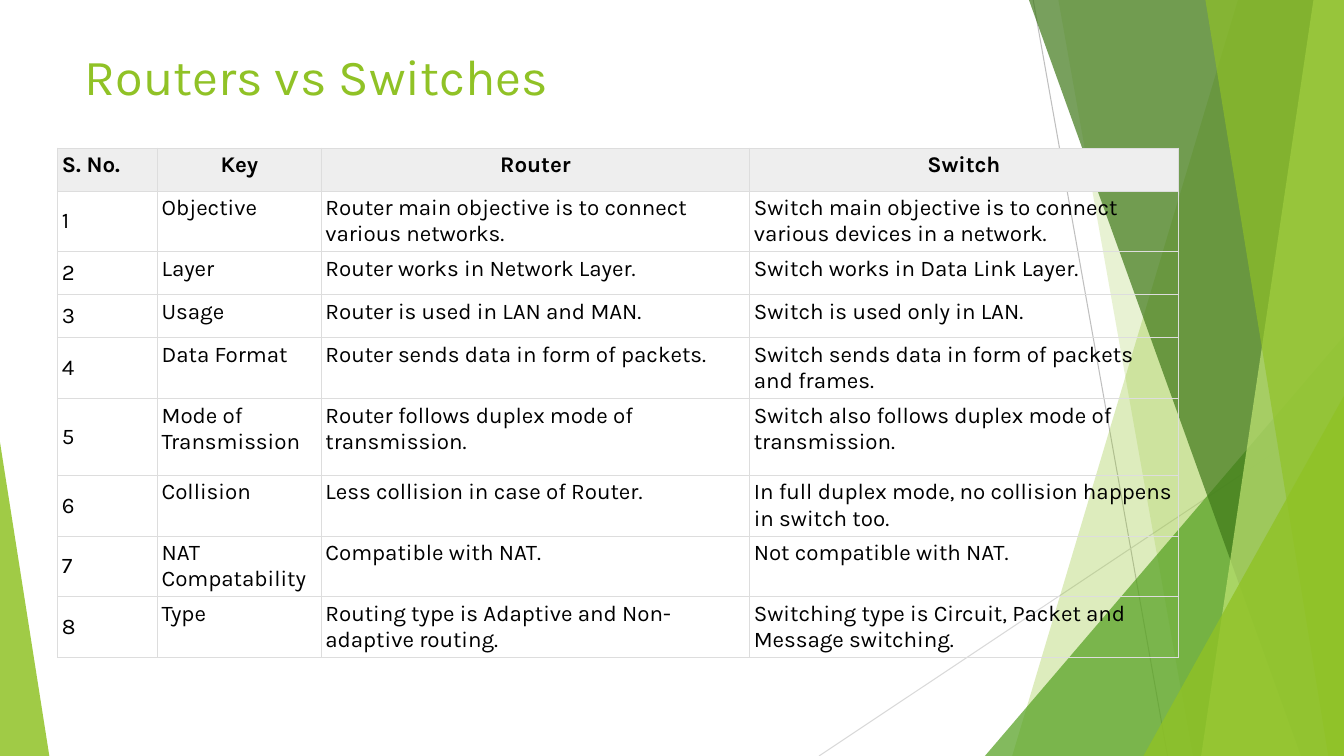
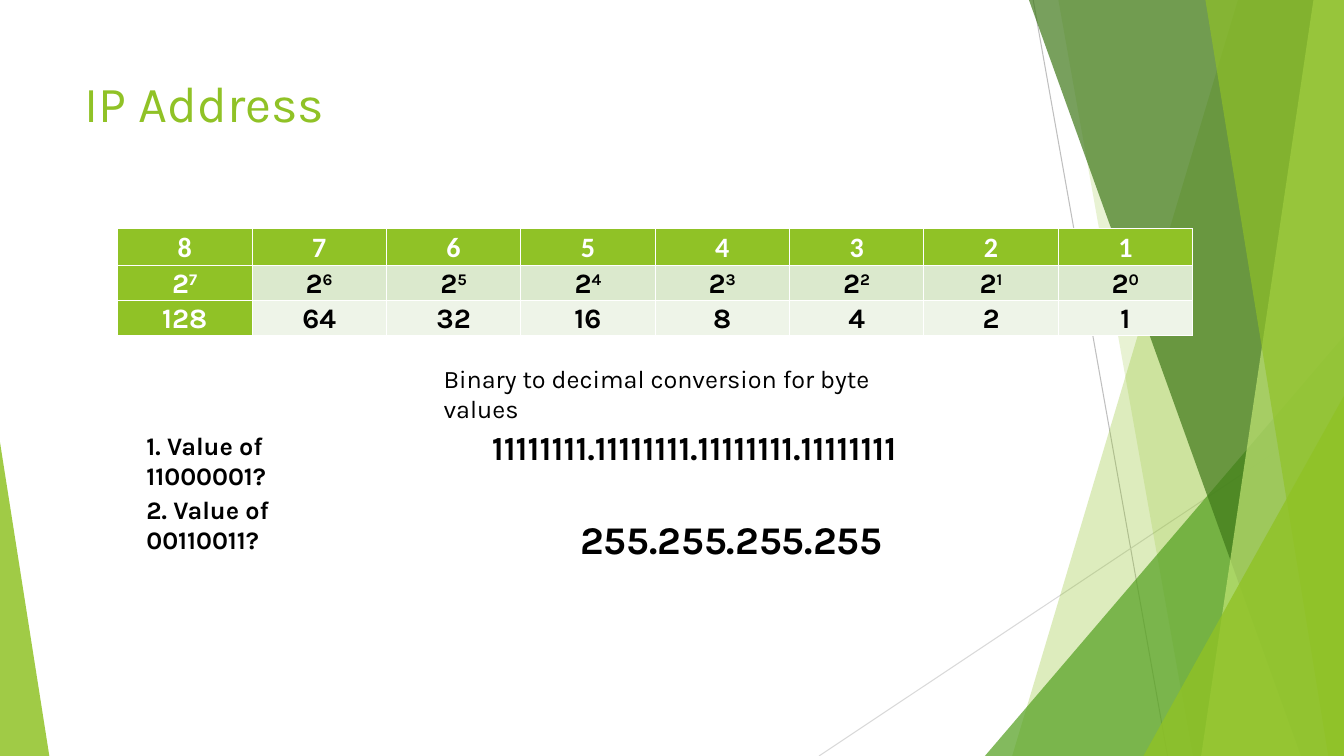
from dataclasses import dataclass

import lxml.etree
import pptx
import pptx.dml.color
import pptx.enum.shapes
import pptx.enum.text
import pptx.oxml.ns
import pptx.util

PX = 9525
WIDE, HIGH = 1280, 720
FONT = "Karla"
GREEN, BLACK, WHITE = "90C226", "000000", "FFFFFF"
GRID, HEAD = "DDDDDD", "EEEEEE"
ODD, EVEN = "DBE9CD", "EEF4E8"

ALIGN = pptx.enum.text.PP_ALIGN
ANCHOR = pptx.enum.text.MSO_ANCHOR
FIT = pptx.enum.text.MSO_AUTO_SIZE
qn = pptx.oxml.ns.qn


@dataclass
class Ray:
    start: tuple[int, int]
    end: tuple[int, int]
    color: str


@dataclass
class Band:
    """Four-sided strip reaching the right edge, from top to bottom."""
    top: int
    foot: int
    color: str
    alpha: int


@dataclass
class Wedge:
    box: tuple[int, int, int, int]
    peak: int
    color: str
    alpha: int


@dataclass
class Note:
    text: str
    box: tuple[int, int, int, int]
    size: int
    bold: bool = True


@dataclass
class Style:
    size: int = 16
    color: str = BLACK
    bold: bool = False
    font: str = FONT


RAYS = [
    Ray((984, 0), (1112, 720), "BFBFBF"),
    Ray((1280, 387), (780, 720), "D9D9D9"),
]
FACETS = [
    Band(1179, 964, GREEN, 30),
    Band(1008, 1136, GREEN, 20),
    Wedge((938, 320, 342, 400), 1, "54A021", 72),
    Band(980, 1239, "3F7819", 70),
    Band(1251, 1144, "C0E474", 70),
    Band(1148, 1265, GREEN, 65),
    Wedge((1089, 377, 191, 343), 1, GREEN, 80),
    Wedge((0, 421, 47, 299), 0, GREEN, 85),
]
DUEL = [
    ("S. No.", "Key", "Router", "Switch"),
    ("1", "Objective", "Router main objective is to connect various networks.",
     "Switch main objective is to connect various devices in a network."),
    ("2", "Layer", "Router works in Network Layer.",
     "Switch works in Data Link Layer."),
    ("3", "Usage", "Router is used in LAN and MAN.",
     "Switch is used only in LAN."),
    ("4", "Data Format", "Router sends data in form of packets.",
     "Switch sends data in form of packets and frames."),
    ("5", "Mode of Transmission", "Router follows duplex mode of transmission.",
     "Switch also follows duplex mode of transmission."),
    ("6", "Collision", "Less collision in case of Router.",
     "In full duplex mode, no collision happens in switch too."),
    ("7", "NAT Compatability", "Compatible with NAT.",
     "Not compatible with NAT."),
    ("8", "Type", "Routing type is Adaptive and Non-adaptive routing.",
     "Switching type is Circuit, Packet and Message switching."),
]
NOTES = [
    Note("Binary to decimal conversion for byte values",
         (413, 341, 454, 38), 18, False),
    Note("1. Value of 11000001?", (130, 405, 239, 38), 18),
    Note("2. Value of 00110011?", (130, 466, 241, 38), 18),
    Note("11111111.11111111.11111111.11111111", (459, 402, 588, 48), 24),
    Note("255.255.255.255", (543, 486, 313, 55), 28),
]


def px(*nums: int) -> list[int]:
    return [num * PX for num in nums]


def tint(text: str) -> pptx.dml.color.RGBColor:
    return pptx.dml.color.RGBColor.from_string(text)


def paint(fill, color: str) -> None:
    fill.solid()
    fill.fore_color.rgb = tint(color)


def write(para, text: str, style: Style) -> None:
    """Add one formatted run."""
    run = para.add_run()
    run.text = text
    run.font.name = style.font
    run.font.size = pptx.util.Pt(style.size)
    run.font.bold = style.bold
    run.font.color.rgb = tint(style.color)


def draw_ray(shapes, ray: Ray):
    line = shapes.add_connector(
        pptx.enum.shapes.MSO_CONNECTOR.STRAIGHT, *px(*ray.start, *ray.end))
    line.line.color.rgb = tint(ray.color)
    line.line.width = PX
    lxml.etree.SubElement(line.element.spPr, qn("a:effectLst"))
    return line


def draw_facet(shapes, facet: Band | Wedge):
    if isinstance(facet, Band):
        pen = shapes.build_freeform(facet.top, 0, scale=PX)
        pen.add_line_segments([(WIDE, 0), (WIDE, HIGH), (facet.foot, HIGH)])
        shape = pen.convert_to_shape()
    else:
        shape = shapes.add_shape(
            pptx.enum.shapes.MSO_SHAPE.ISOSCELES_TRIANGLE, *px(*facet.box))
        shape.adjustments[0] = facet.peak
    shape.shadow.inherit = False
    shape.line.fill.background()
    paint(shape.fill, facet.color)
    color = shape.element.xpath("./p:spPr/a:solidFill/a:srgbClr")[0]
    alpha = lxml.etree.SubElement(color, qn("a:alpha"))
    alpha.set("val", str(facet.alpha * 1000))
    return shape


def share_decor(slide, layout) -> None:
    """Draw the backdrop once and hand it over to the layout."""
    parts = [draw_ray(slide.shapes, ray) for ray in RAYS]
    parts += [draw_facet(slide.shapes, facet) for facet in FACETS]
    for num, part in enumerate(parts, 20):
        part.element.xpath(".//p:cNvPr")[0].set("id", str(num))
        layout.shapes.element.append(part.element)


def set_title(slide, text: str, top: int) -> None:
    title = slide.shapes.title
    title.left, title.top, title.width, title.height = px(71, top, 902, 138)
    frame = title.text_frame
    frame.word_wrap = True
    frame.auto_size = FIT.NONE
    frame.vertical_anchor = ANCHOR.TOP
    para = frame.paragraphs[0]
    para.alignment = ALIGN.LEFT
    write(para, text, Style(36, GREEN))


def add_note(slide, note: Note) -> None:
    frame = slide.shapes.add_textbox(*px(*note.box)).text_frame
    frame.word_wrap = True
    frame.auto_size = FIT.SHAPE_TO_FIT_TEXT
    write(frame.paragraphs[0], note.text, Style(note.size, bold=note.bold))


def add_grid(slide, spot: tuple[int, int], cols: list[int], rows: list[int]):
    """Add a plain table with the given column and row sizes."""
    frame = slide.shapes.add_table(
        len(rows), len(cols), *px(*spot, sum(cols), sum(rows)))
    table = frame.table
    table.first_row = table.horz_banding = False
    for col, size in zip(table.columns, cols):
        col.width = size * PX
    for row, size in zip(table.rows, rows):
        row.height = size * PX
    return frame


def pad(cell, side: int, edge: int) -> None:
    cell.margin_left = cell.margin_right = side * PX
    cell.margin_top = cell.margin_bottom = edge * PX


def rule(frame, color: str) -> None:
    """Give every cell of a table the same thin border."""
    for cell in frame.element.iter(qn("a:tc")):
        props = cell.get_or_add_tcPr()
        for spot, side in enumerate("LRTB"):
            line = lxml.etree.Element(qn(f"a:ln{side}"), w=str(PX))
            fill = lxml.etree.SubElement(line, qn("a:solidFill"))
            lxml.etree.SubElement(fill, qn("a:srgbClr"), val=color)
            props.insert(spot, line)


def add_duel(slide) -> None:
    frame = add_grid(slide, (55, 141), [95, 156, 408, 408],
                     [41, 57, 41, 41, 57, 73, 57, 57, 57])
    for y, texts in enumerate(DUEL):
        for x, text in enumerate(texts):
            cell = frame.table.cell(y, x)
            pad(cell, 4, 4)
            para = cell.text_frame.paragraphs[0]
            if y == 0:
                paint(cell.fill, HEAD)
                para.alignment = ALIGN.CENTER if x else ALIGN.LEFT
            else:
                cell.fill.background()
                cell.vertical_anchor = ANCHOR.TOP if x else ANCHOR.MIDDLE
            write(para, text, Style(bold=y == 0))
    rule(frame, GRID)


def add_bits(slide) -> None:
    """Add the table of bit places, powers of two and values."""
    frame = add_grid(slide, (112, 218), [128] * 8, [30] * 3)
    for x, power in enumerate(range(7, -1, -1)):
        column = [[str(power + 1)], ["2", str(power)], [str(2 ** power)]]
        for y, texts in enumerate(column):
            cell = frame.table.cell(y, x)
            pad(cell, 7, 0)
            lead = x == 0 or y == 0
            paint(cell.fill, GREEN if lead else (ODD, EVEN)[y - 1])
            style = Style(20, WHITE if lead else BLACK, True,
                          FONT if y else "Calibri")
            para = cell.text_frame.paragraphs[0]
            para.alignment = ALIGN.CENTER
            para.line_spacing = 1.07
            for text in texts:
                write(para, text, style)
    for props in frame.element.xpath(".//a:r[2]/a:rPr"):
        props.set("baseline", "30000")
    rule(frame, WHITE)


def main() -> None:
    deck = pptx.Presentation()
    deck.slide_width, deck.slide_height = px(WIDE, HIGH)
    layout = deck.slide_layouts[5]

    duel = deck.slides.add_slide(layout)
    share_decor(duel, layout)
    set_title(duel, "Routers vs Switches", 38)
    add_duel(duel)

    bits = deck.slides.add_slide(layout)
    set_title(bits, "IP Address", 64)
    add_bits(bits)
    for note in NOTES:
        add_note(bits, note)

    deck.save("out.pptx")


if __name__ == "__main__":
    main()
